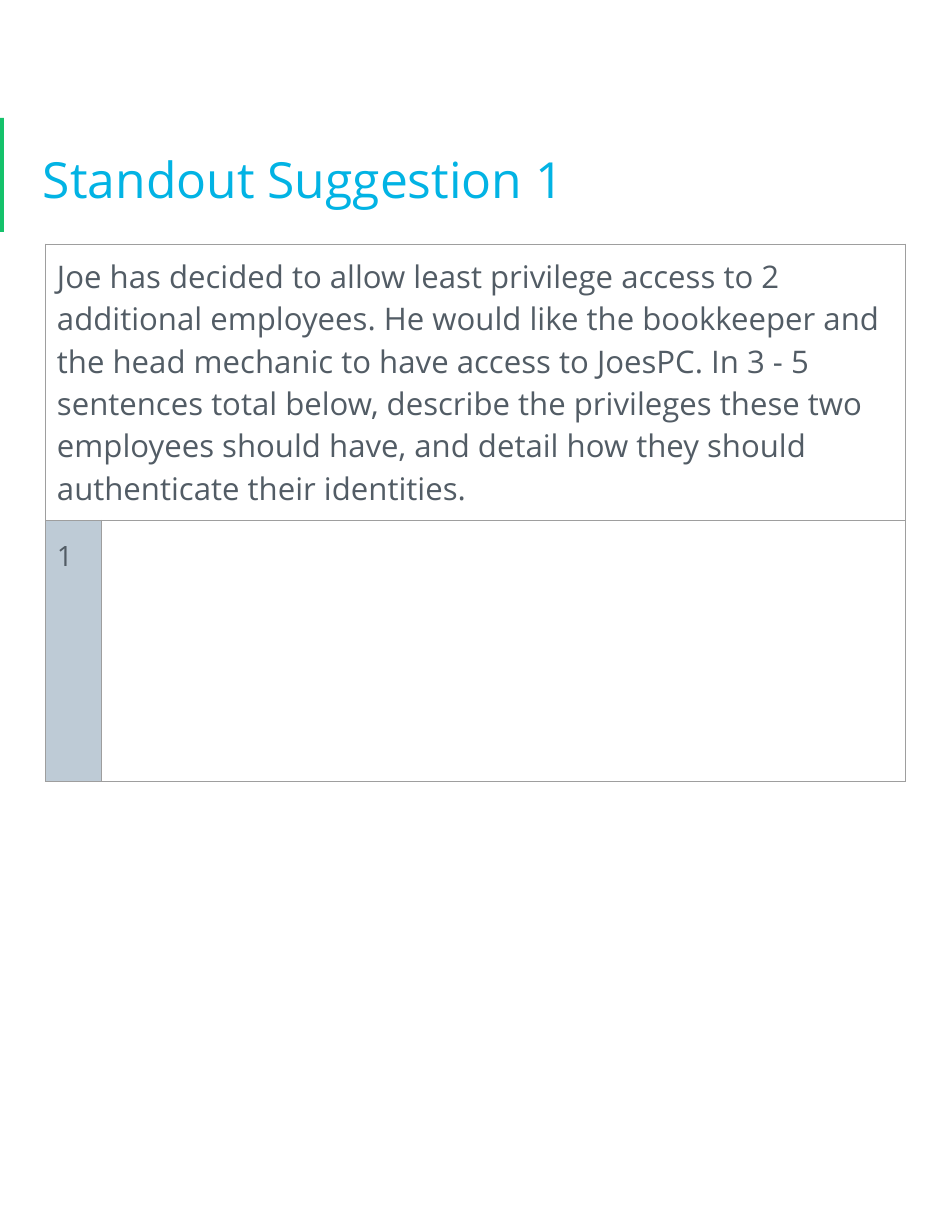
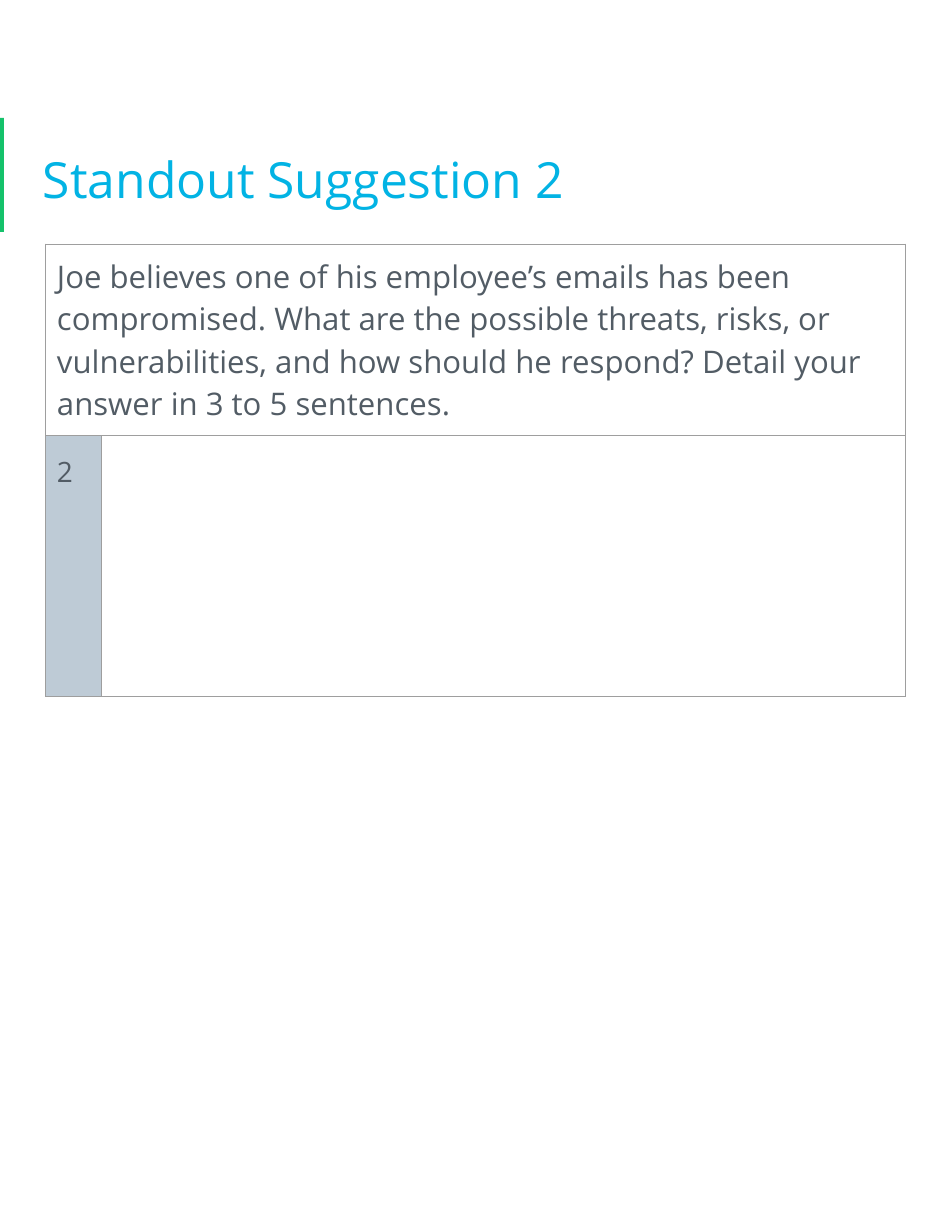
from lxml import etree
from pptx import Presentation
from pptx import util as u
from pptx.dml.color import RGBColor
from pptx.enum import shapes, text
from pptx.oxml import ns

# Content: title, question, answer number
SUGGESTIONS = [
    ("Standout Suggestion 1",
     "Joe has decided to allow least privilege access to 2 additional employees. "
     "He would like the bookkeeper and the head mechanic to have access to JoesPC. "
     "In 3 - 5 sentences total below, describe the privileges these two employees "
     "should have, and detail how they should authenticate their identities.",
     "1"),
    ("Standout Suggestion 2",
     "Joe believes one of his employee’s emails has been compromised. "
     "What are the possible threats, risks, or vulnerabilities, and how should he "
     "respond? Detail your answer in 3 to 5 sentences.",
     "2"),
]

# Shared look, lengths in px
PX = u.Inches(1) / 112
PAGE_SIZE = (952, 1232)
BAR_BOX = (0, 118, 4, 114)
TITLE_BOX = (32, 106, 887, 137)
TABLE_CORNER = (46, 244)
COLUMNS = (56, 804)
ROWS = (83, 261)
MARGIN = 11
FONT = "Open Sans"
GREEN, BLUE, SLATE = "15C26B", "02B3E4", "525C65"
NUMBER_FILL, BORDER = "BECBD6", "9E9E9E"
TOP, MIDDLE = text.MSO_ANCHOR.TOP, text.MSO_ANCHOR.MIDDLE


def px(*lengths):
    return [u.Emu(round(length * PX)) for length in lengths]


def color(code):
    return RGBColor.from_string(code)


def apply(target, values):
    for name, value in values.items():
        setattr(target, name, value)


def margins():
    return {f"margin_{side}": px(MARGIN)[0] for side in ("left", "top", "right", "bottom")}


def write(frame, words, size, code, spacing):
    frame.text = words
    para = frame.paragraphs[0]
    apply(para, {"alignment": text.PP_ALIGN.LEFT, "line_spacing": spacing})
    span = para.runs[0]
    apply(span.font, {"name": FONT, "size": u.Pt(size)})
    span.font.color.rgb = color(code)


def add_borders(cell):
    properties = cell._tc.get_or_add_tcPr()
    for side in ("L", "R", "T", "B"):
        line = etree.SubElement(properties, ns.qn(f"a:ln{side}"), w=str(u.Pt(0.75)))
        fill = etree.SubElement(line, ns.qn("a:solidFill"))
        etree.SubElement(fill, ns.qn("a:srgbClr"), val=BORDER)


def add_bar(page):
    bar = page.shapes.add_shape(shapes.MSO_SHAPE.RECTANGLE, *px(*BAR_BOX))
    bar.shadow.inherit = False
    bar.fill.solid()
    bar.fill.fore_color.rgb = color(GREEN)
    bar.line.fill.background()


def add_title(page, words):
    title = page.shapes.title
    apply(title, dict(zip(("left", "top", "width", "height"), px(*TITLE_BOX))))
    apply(title.text_frame, {**margins(), "word_wrap": True, "vertical_anchor": MIDDLE,
                             "auto_size": text.MSO_AUTO_SIZE.NONE})
    write(title.text_frame, words, 32, BLUE, 1.15)


def add_answer_table(page, question, number):
    table = page.shapes.add_table(
        len(ROWS), len(COLUMNS), *px(*TABLE_CORNER, sum(COLUMNS), sum(ROWS))).table
    apply(table, {"first_row": False, "horz_banding": False})
    for column, width in zip(table.columns, px(*COLUMNS)):
        column.width = width
    for row, height in zip(table.rows, px(*ROWS)):
        row.height = height
    for cell in table.iter_cells():
        apply(cell, {**margins(), "vertical_anchor": TOP})
        add_borders(cell)
        cell.fill.background()

    # Question across the top, numbered answer space below
    question_cell, number_cell = table.cell(0, 0), table.cell(1, 0)
    question_cell.merge(table.cell(0, 1))
    question_cell.vertical_anchor = MIDDLE
    write(question_cell.text_frame, question, 20, SLATE, 1.0)
    number_cell.fill.solid()
    number_cell.fill.fore_color.rgb = color(NUMBER_FILL)
    write(number_cell.text_frame, number, 18, SLATE, 1.15)


def main():
    deck = Presentation()
    deck.slide_width, deck.slide_height = px(*PAGE_SIZE)
    for title, question, number in SUGGESTIONS:
        page = deck.slides.add_slide(deck.slide_layouts.get_by_name("Title Only"))
        add_bar(page)
        add_title(page, title)
        add_answer_table(page, question, number)
    deck.save("out.pptx")


if __name__ == "__main__":
    main()
